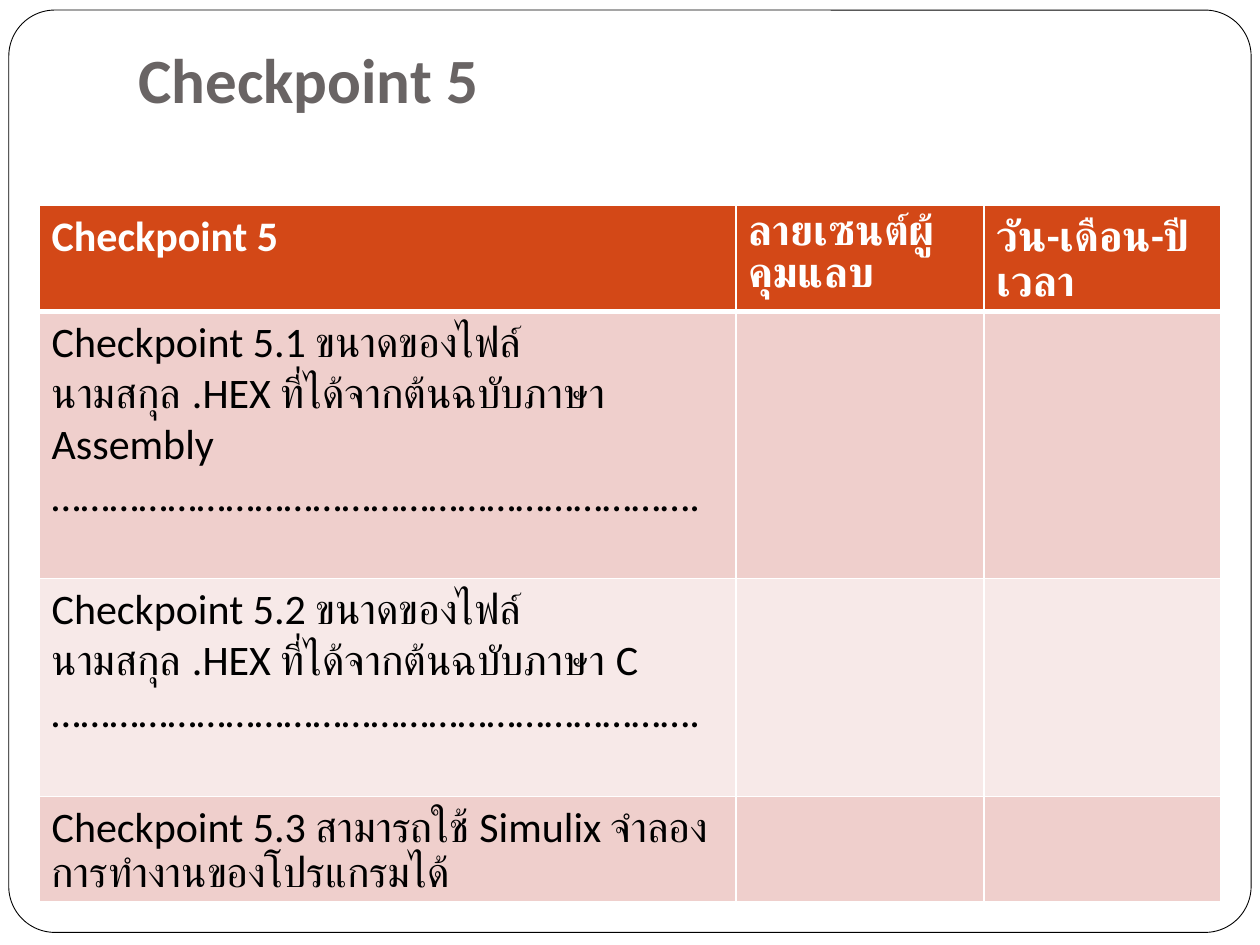
"""Build the Checkpoint 5 sign-off slide with its table."""
from dataclasses import dataclass

from lxml.etree import SubElement
from pptx import Presentation
from pptx.dml.color import RGBColor
from pptx.enum.shapes import MSO_SHAPE as SHAPE
from pptx.enum.text import MSO_ANCHOR as ANCHOR, MSO_AUTO_SIZE as AUTO, PP_ALIGN as ALIGN
from pptx.oxml.ns import qn
from pptx.util import Inches, Pt


@dataclass(frozen=True)
class Theme:
    font: str = "Calibri"
    title_size: int = 36
    table_size: int = 24
    title: str = "696464"
    text: str = "000000"
    white: str = "FFFFFF"
    header: str = "D34817"
    bands: tuple = ("EFCFCC", "F7E9E8")


theme = Theme()


def set_font(p, size, color, bold):
    p.font.name = theme.font
    p.font.size = Pt(size)
    p.font.bold = bold
    p.font.color.rgb = RGBColor.from_string(color)


def add_border(cell, side, width):
    ln = SubElement(cell._tc.get_or_add_tcPr(), qn(f"a:ln{side}"), w=str(Pt(width)))
    SubElement(SubElement(ln, qn("a:solidFill")), qn("a:srgbClr"), val=theme.white)


prs = Presentation()
prs.slide_width, prs.slide_height = Inches(10), Inches(7.5)
s = prs.slides.add_slide(prs.slide_layouts[5])

frame = s.shapes.add_shape(
    SHAPE.ROUNDED_RECTANGLE, Inches(0.07), Inches(0.08), Inches(9.86), Inches(7.32)
)
frame.adjustments[0] = 0.05
frame.shadow.inherit = False
frame.fill.solid()
frame.fill.fore_color.rgb = RGBColor.from_string(theme.white)
frame.line.color.rgb = RGBColor.from_string(theme.text)
frame.line.width = Pt(0.5)
s.shapes._spTree.insert(2, frame._element)

title = s.shapes.title
title.left, title.top = Inches(1), Inches(0.3)
title.width, title.height = Inches(8.5), Inches(0.72)
tf = title.text_frame
tf.text = "Checkpoint 5"
tf.auto_size = AUTO.NONE
tf.vertical_anchor = ANCHOR.BOTTOM
tf.margin_bottom = Inches(0.1)
p = tf.paragraphs[0]
p.alignment = ALIGN.LEFT
set_font(p, theme.title_size, theme.title, True)

dots = "…" * 22 + "."
rows = [
    ("Checkpoint 5", "ลายเซนต์ผู้คุมแลบ", "วัน-เดือน-ปี เวลา"),
    (f"Checkpoint 5.1 ขนาดของไฟล์นามสกุล .HEX ที่ได้จากต้นฉบับภาษา Assembly {dots}", "", ""),
    (f"Checkpoint 5.2 ขนาดของไฟล์นามสกุล .HEX ที่ได้จากต้นฉบับภาษา C {dots}", "", ""),
    ("Checkpoint 5.3 สามารถใช้ Simulix จำลองการทำงานของโปรแกรมได้", "", ""),
]
col_widths = [5.53, 1.97, 1.88]
row_heights = [0.82, 2.12, 1.73, 0.83]

table = s.shapes.add_table(
    len(rows), len(col_widths), Inches(0.31), Inches(1.63),
    Inches(sum(col_widths)), Inches(sum(row_heights)),
).table
for col, width in zip(table.columns, col_widths):
    col.width = Inches(width)

for i, (texts, height) in enumerate(zip(rows, row_heights)):
    table.rows[i].height = Inches(height)
    header = i == 0
    fill = theme.header if header else theme.bands[(i - 1) % 2]
    for j, text in enumerate(texts):
        cell = table.cell(i, j)
        cell.text = text
        color = theme.white if header else theme.text
        set_font(cell.text_frame.paragraphs[0], theme.table_size, color, header)
        for side in "LRTB":
            thick = (header and side == "B") or (i == 1 and side == "T")
            add_border(cell, side, 3 if thick else 1)
        cell.fill.solid()
        cell.fill.fore_color.rgb = RGBColor.from_string(fill)

prs.save("out.pptx")
